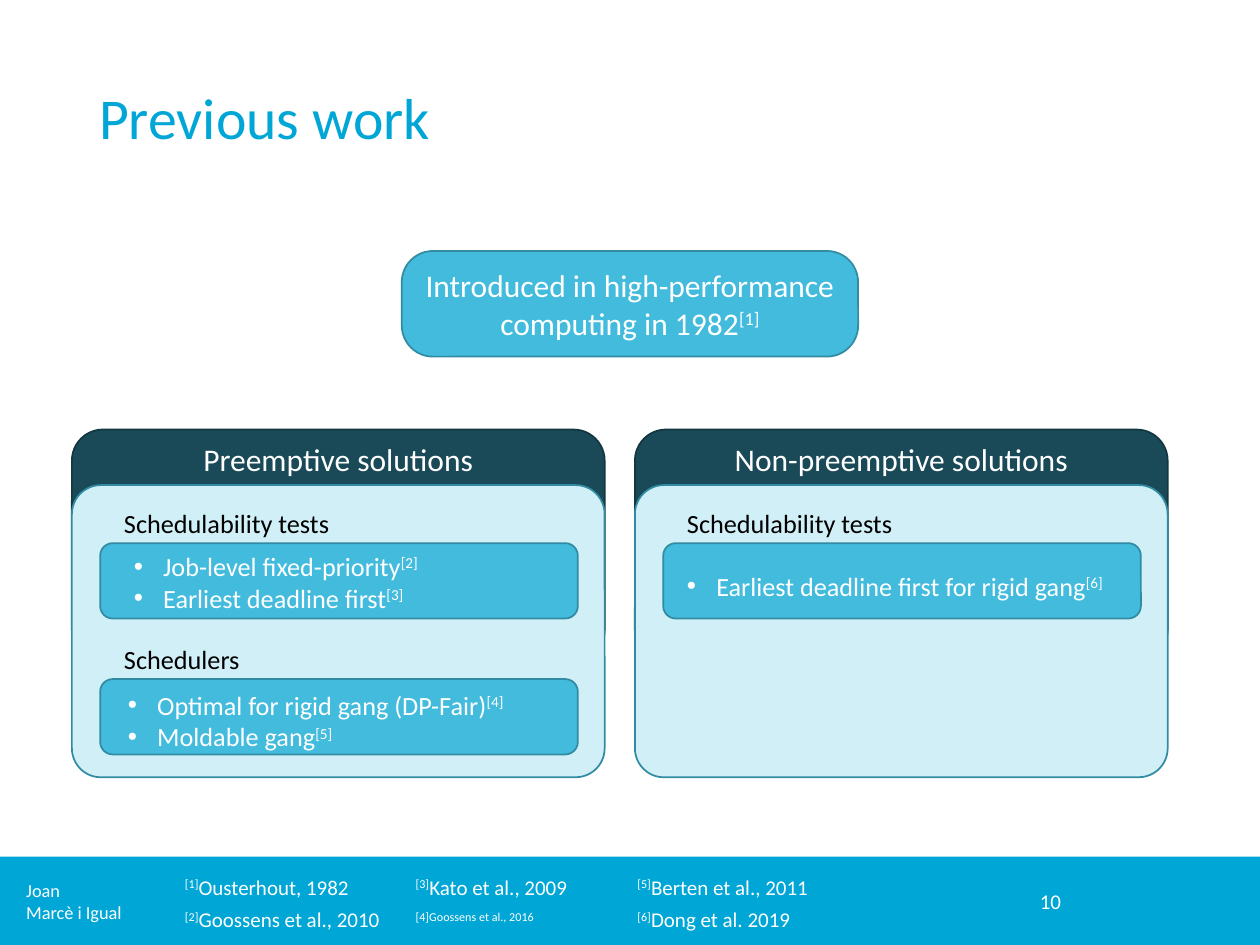
from lxml.etree import SubElement
from pptx import Presentation
from pptx.dml.color import RGBColor as RGB
from pptx.enum.shapes import MSO_SHAPE as Preset
from pptx.enum.text import MSO_ANCHOR as Anchor, PP_ALIGN as Align
from pptx.oxml.ns import qn
from pptx.util import Cm, Pt


class Theme:
    font = "Calibri"
    brand, white, black = "00A6D6", "FFFFFF", "000000"
    card, card_line = "42BBDD", "318CA3"
    header, header_line = "1A4A57", "133740"
    panel = "D1EFF7"
    title, heading, body, reference, author = 33, 18, 15, 12, 10.5


# A line is a list of (text, is superscript) runs.
TITLE = "Previous work"
AUTHOR = ["Joan", "Marcè i Igual"]
PAGE = "10"
INTRO = [("Introduced in high-performance computing in 1982", False), ("[1]", True)]

PANELS = [
    {"heading": "Preemptive solutions", "left": 1.45, "sections": [
        {"label": "Schedulability tests", "text_shift": (0.43, 0.02), "spacing": None,
         "items": [("Job-level fixed-priority", "[2]"), ("Earliest deadline first", "[3]")]},
        {"label": "Schedulers", "text_shift": (0.31, 0.08), "spacing": None,
         "items": [("Optimal for rigid gang (DP-Fair)", "[4]"), ("Moldable gang", "[5]")]},
    ]},
    {"heading": "Non-preemptive solutions", "left": 12.8, "sections": [
        {"label": "Schedulability tests", "text_shift": (0.23, 0.1), "spacing": 1.5,
         "items": [("Earliest deadline first for rigid gang", "[6]")]},
    ]},
]

# Column left edge, then (mark, source, source is superscript) from top to bottom.
REFERENCES = [
    (3.48, [("[1]", "Ousterhout, 1982", False), ("[2]", "Goossens et al., 2010", False)]),
    (8.13, [("[3]", "Kato et al., 2009", False), ("[4]", "Goossens et al., 2016", True)]),
    (12.6, [("[5]", "Berten et al., 2011", False), ("[6]", "Dong et al. 2019", False)]),
]

SLIDE_W, SLIDE_H = 25.4, 19.05
FOOTER_TOP = 17.27
PANEL_W, PANEL_TOP, PANEL_H = 10.74, 9.78, 5.89
HEADER_TOP, HEADER_H = 8.66, 4.67
CARD_W, CARD_H, CARD_INDENT = 9.63, 1.52, 0.57
FIRST_CARD_TOP, CARD_STEP = 10.95, 2.74
LABEL_RISE, LABEL_INDENT = 0.85, 0.23
REFERENCE_TOP, REFERENCE_STEP = 17.5, 0.66
BULLET_INDENT = 0.59


def plain(text):
    return [(text, False)]


def write(frame, lines, size, color, align=Align.LEFT, anchor=Anchor.TOP,
          spacing=None, bullets=False):
    frame.word_wrap = True
    frame.vertical_anchor = anchor
    for index, line in enumerate(lines):
        paragraph = frame.paragraphs[0] if index == 0 else frame.add_paragraph()
        paragraph.alignment = align
        if spacing:
            paragraph.line_spacing = spacing
        if bullets:
            props = paragraph._p.get_or_add_pPr()
            props.set("marL", str(Cm(BULLET_INDENT)))
            props.set("indent", str(-Cm(BULLET_INDENT)))
            SubElement(props, qn("a:buFont")).set("typeface", "Arial")
            SubElement(props, qn("a:buChar")).set("char", "•")
        for text, superscript in line:
            run = paragraph.add_run()
            run.text = text
            run.font.name = Theme.font
            run.font.size = Pt(size)
            run.font.color.rgb = RGB.from_string(color)
            if superscript:
                run._r.get_or_add_rPr().set("baseline", "30000")


def add_text(slide, box, lines, size, color, **style):
    text_box = slide.shapes.add_textbox(*map(Cm, box))
    write(text_box.text_frame, lines, size, color, **style)


def add_block(slide, box, fill, line=None, preset=Preset.ROUNDED_RECTANGLE, rounding=None):
    block = slide.shapes.add_shape(preset, *map(Cm, box))
    block.shadow.inherit = False
    block.fill.solid()
    block.fill.fore_color.rgb = RGB.from_string(fill)
    if line:
        block.line.color.rgb = RGB.from_string(line)
        block.line.width = Pt(1)
    else:
        block.line.fill.background()
    if rounding is not None:
        block.adjustments[0] = rounding
    return block


def add_section(slide, section, left, top):
    """Draw a label, the card below it and the bulleted list on the card."""
    add_text(slide, (left + LABEL_INDENT, top - LABEL_RISE, 4.85, 0.89),
             [plain(section["label"])], Theme.body, Theme.black)
    add_block(slide, (left, top, CARD_W, CARD_H), Theme.card, Theme.card_line)
    right, down = section["text_shift"]
    lines = [[(item, False), (mark, True)] for item, mark in section["items"]]
    add_text(slide, (left + right, top + down, 8.97, 1.55), lines, Theme.body,
             Theme.white, spacing=section["spacing"], bullets=True)


def add_panel(slide, panel):
    left = panel["left"]
    add_block(slide, (left, HEADER_TOP, PANEL_W, HEADER_H),
              Theme.header, Theme.header_line, rounding=0.134)
    add_block(slide, (left, PANEL_TOP, PANEL_W, PANEL_H),
              Theme.panel, Theme.card_line, rounding=0.099)
    add_text(slide, (left, 8.74, PANEL_W, 1.14), [plain(panel["heading"])],
             Theme.heading, Theme.white, align=Align.CENTER)
    for row, section in enumerate(panel["sections"]):
        add_section(slide, section, left + CARD_INDENT, FIRST_CARD_TOP + row * CARD_STEP)


def add_footer(slide):
    add_block(slide, (0, FOOTER_TOP, SLIDE_W, SLIDE_H - FOOTER_TOP),
              Theme.brand, preset=Preset.RECTANGLE)
    add_text(slide, (0.28, 17.6, 2.54, 1.14), [plain(name) for name in AUTHOR],
             Theme.author, Theme.white)
    add_text(slide, (17.93, 17.65, 3.71, 1.02), [plain(PAGE)], Theme.reference,
             Theme.white, align=Align.RIGHT, anchor=Anchor.MIDDLE)
    for left, references in REFERENCES:
        for row, (mark, source, raised) in enumerate(references):
            add_text(slide, (left, REFERENCE_TOP + row * REFERENCE_STEP, 4.65, 0.76),
                     [[(mark, True), (source, raised)]], Theme.reference, Theme.white)


def main():
    deck = Presentation()
    deck.slide_width, deck.slide_height = Cm(SLIDE_W), Cm(SLIDE_H)
    slide = deck.slides.add_slide(deck.slide_layouts[6])

    add_footer(slide)
    add_text(slide, (1.75, 1.02, 21.89, 2.82), [plain(TITLE)], Theme.title, Theme.brand,
             anchor=Anchor.MIDDLE, spacing=0.9)
    intro = add_block(slide, (8.1, 5.06, 9.2, 2.13), Theme.card, Theme.card_line,
                      rounding=0.295)
    write(intro.text_frame, [INTRO], Theme.heading, Theme.white,
          align=Align.CENTER, anchor=Anchor.MIDDLE)
    for panel in PANELS:
        add_panel(slide, panel)

    deck.save("out.pptx")


if __name__ == "__main__":
    main()
